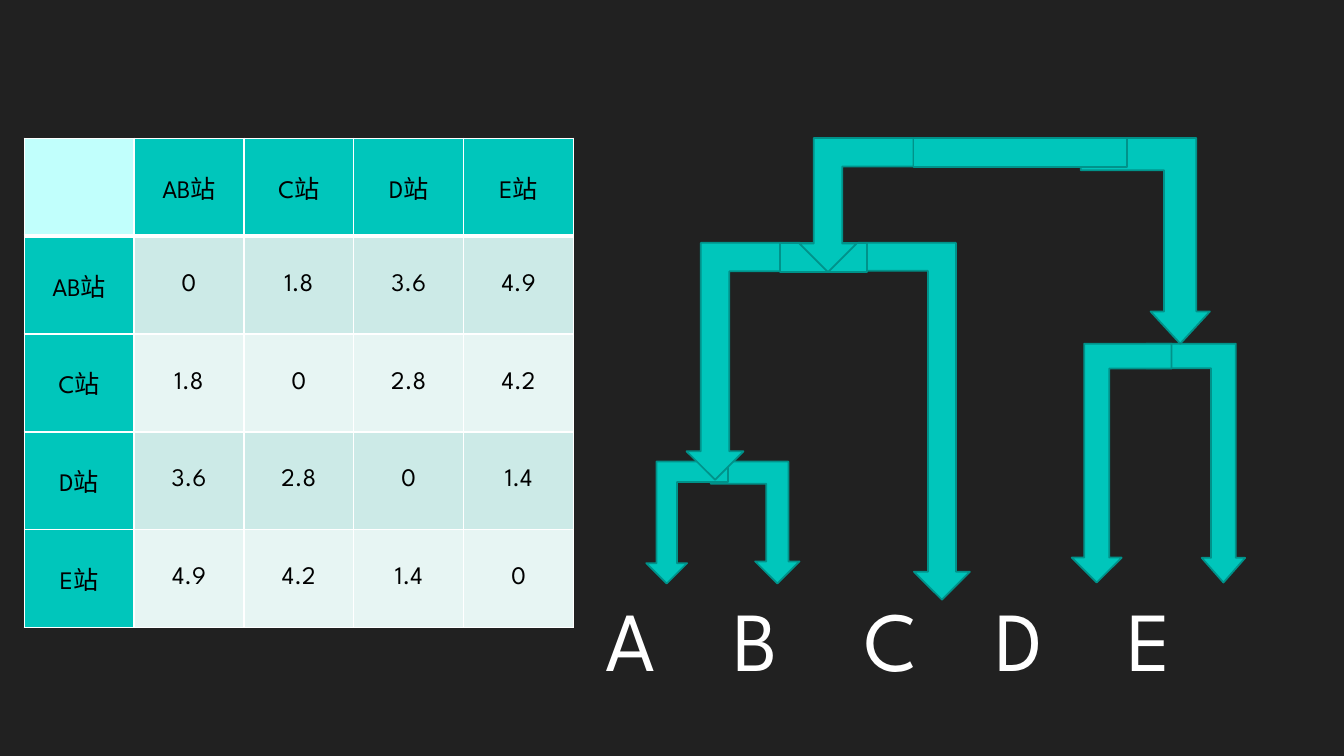
from lxml import etree
from pptx import Presentation
from pptx.dml.color import RGBColor
from pptx.enum.shapes import MSO_SHAPE
from pptx.enum.text import MSO_ANCHOR, PP_ALIGN
from pptx.oxml.ns import qn
from pptx.util import Inches, Pt

BENT_ARROW = MSO_SHAPE.BENT_UP_ARROW
RECTANGLE = MSO_SHAPE.RECTANGLE
MIDDLE = MSO_ANCHOR.MIDDLE
CENTER = PP_ALIGN.CENTER

FONT = "League Spartan"
BACKGROUND, WHITE, BLACK = "212121", "FFFFFF", "000000"
TEAL, DARK_TEAL, PALE_TEAL = "00C6BB", "00928A", "C1FFFC"
BANDS = ("CCEAE7", "E7F5F3")

STATIONS = ["AB站", "C站", "D站", "E站"]
DISTANCES = [
    ["0", "1.8", "3.6", "4.9"],
    ["1.8", "0", "2.8", "4.2"],
    ["3.6", "2.8", "0", "1.4"],
    ["4.9", "4.2", "1.4", "0"],
]

LEFT_BRANCH, RIGHT_BRANCH, BAR = "left", "right", "bar"
BRANCHES = [
    (RIGHT_BRANCH, 0.64, 3.21, 0.88, 1.21, 0.25),
    (LEFT_BRANCH, 0, 3.21, 0.81, 1.21, 0.25),
    (RIGHT_BRANCH, 4.96, 2.04, 0.98, 2.37, 0.22),
    (LEFT_BRANCH, 4.22, 2.04, 0.99, 2.37, 0.25),
    (LEFT_BRANCH, 0.4, 1.04, 1.13, 2.35, 0.25),
    (RIGHT_BRANCH, 2.1, 1.04, 1.11, 3.54, 0.25),
    (BAR, 1.33, 1.04, 0.86, 0.29, None),
    (RIGHT_BRANCH, 4.31, 0, 1.28, 2.04, 0.23),
    (LEFT_BRANCH, 1.52, 0, 1.13, 1.33, 0.25),
    (BAR, 2.65, 0, 2.12, 0.29, None),
]


def color(value):
    return RGBColor.from_string(value)


def paint(fill, value):
    fill.solid()
    fill.fore_color.rgb = color(value)


def format_run(run, size, value):
    for name, setting in {"name": FONT, "size": Pt(size)}.items():
        setattr(run.font, name, setting)
    run.font.color.rgb = color(value)


def add_borders(cell, widths):
    properties = cell._tc.get_or_add_tcPr()
    for side, width in zip(("lnL", "lnR", "lnT", "lnB"), widths):
        line = etree.SubElement(properties, qn(f"a:{side}"), w=str(Pt(width)))
        fill = etree.SubElement(line, qn("a:solidFill"))
        etree.SubElement(fill, qn("a:srgbClr"), val=WHITE)


def cell_fill(row, column):
    if row == 0 and column == 0:
        return PALE_TEAL
    if row == 0 or column == 0:
        return TEAL
    return BANDS[(row - 1) % 2]


def add_distance_table(slide, left, top, width, height):
    rows = [[""] + STATIONS]
    rows += [[station] + values for station, values in zip(STATIONS, DISTANCES)]
    count = len(rows)
    frame = slide.shapes.add_table(
        count, count, Inches(left), Inches(top), Inches(width), Inches(height)
    )
    table = frame.table
    for index in range(count):
        table.columns[index].width = Inches(width / count)
        table.rows[index].height = Inches(height / count)
    for row, values in enumerate(rows):
        for column, value in enumerate(values):
            cell = table.cell(row, column)
            cell.vertical_anchor = MIDDLE
            add_borders(cell, (1, 1, 3 if row == 1 else 1, 3 if row == 0 else 1))
            paint(cell.fill, cell_fill(row, column))
            paragraph = cell.text_frame.paragraphs[0]
            paragraph.alignment = CENTER
            if value:
                run = paragraph.add_run()
                run.text = value
                format_run(run, 18, BLACK)


def add_leaf_labels(slide, left, top, width, height):
    box = slide.shapes.add_textbox(
        Inches(left), Inches(top), Inches(width), Inches(height)
    )
    box.text_frame.word_wrap = True
    paragraph = box.text_frame.paragraphs[0]
    run = paragraph.add_run()
    run.text = "\t".join("ABCDE")
    format_run(run, 60, WHITE)
    tabs = etree.SubElement(paragraph._p.get_or_add_pPr(), qn("a:tabLst"))
    for index in range(4):
        position = Inches(1.27 + 1.3 * index)
        etree.SubElement(tabs, qn("a:tab"), pos=str(position), algn="l")


def add_cluster_tree(slide, left, top):
    for kind, x, y, width, height, head in BRANCHES:
        shape = slide.shapes.add_shape(
            RECTANGLE if kind == BAR else BENT_ARROW,
            Inches(left + x), Inches(top + y), Inches(width), Inches(height),
        )
        shape.shadow.inherit = False
        paint(shape.fill, TEAL)
        shape.line.color.rgb = color(DARK_TEAL)
        shape.line.width = Pt(1.25)
        if kind != BAR:
            shape.adjustments[1] = head
            transform = shape._element.spPr.find(qn("a:xfrm"))
            transform.set("flipV", "1")
            if kind == LEFT_BRANCH:
                transform.set("flipH", "1")


def main():
    presentation = Presentation()
    presentation.slide_width = Inches(13.33)
    presentation.slide_height = Inches(7.5)
    slide = presentation.slides.add_slide(presentation.slide_layouts[6])
    paint(slide.background.fill, BACKGROUND)
    add_distance_table(slide, 0.24, 1.37, 5.45, 4.86)
    add_leaf_labels(slide, 5.91, 5.78, 6.82, 1.11)
    add_cluster_tree(slide, 6.41, 1.37)
    presentation.save("out.pptx")


if __name__ == "__main__":
    main()
